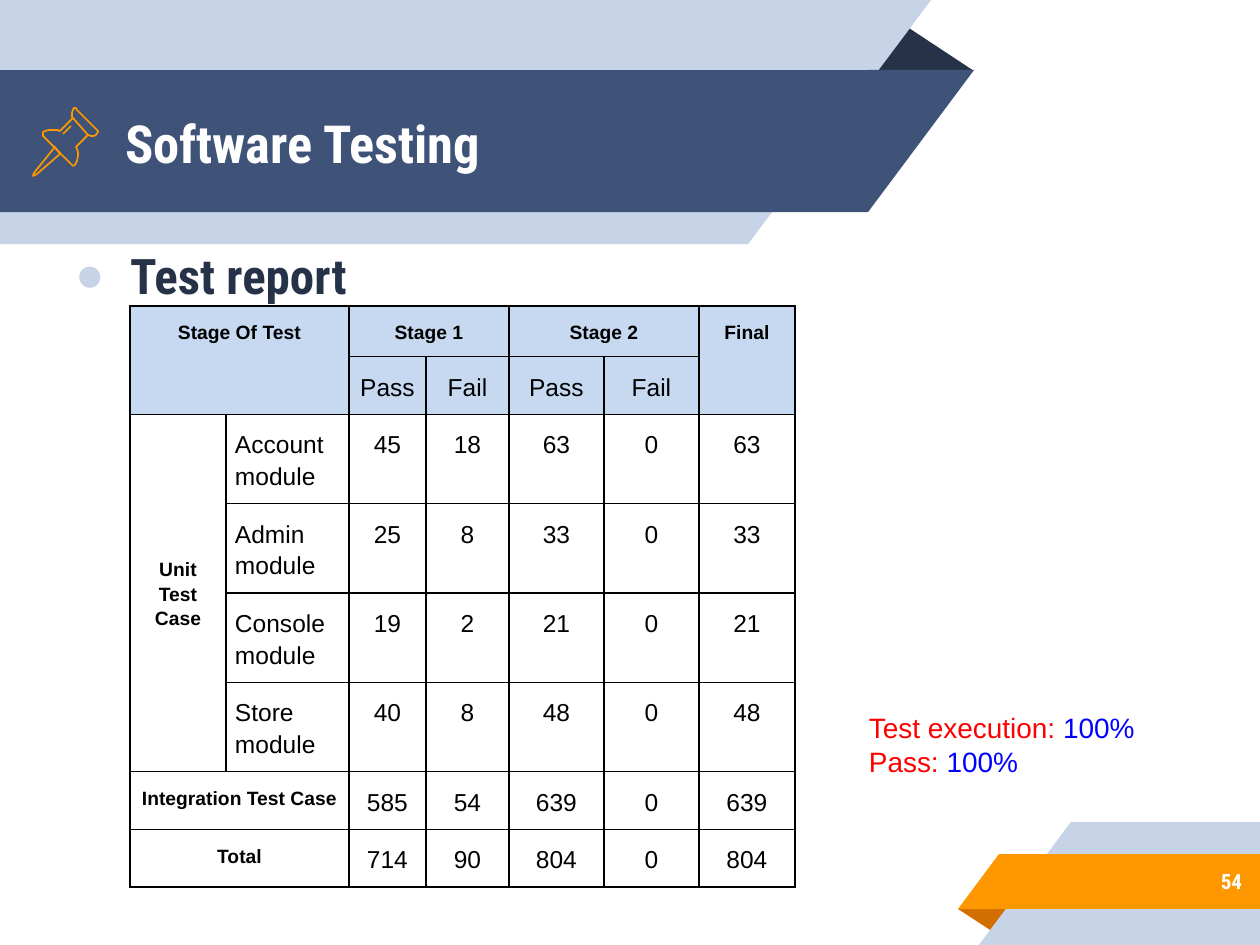
from lxml.etree import SubElement
from pptx import Presentation
from pptx.dml.color import RGBColor
from pptx.enum.shapes import MSO_SHAPE as Shape
from pptx.enum.text import MSO_ANCHOR as Anchor, MSO_AUTO_SIZE as AutoSize, PP_ALIGN as Align
from pptx.oxml.ns import qn
from pptx.util import Emu, Pt

COLORS = {
    "pale": "C7D3E6", "navy": "3F5378", "dark": "263248", "orange": "FF9800",
    "rust": "D26F00", "white": "FFFFFF", "black": "000000", "header": "C6D9F1",
    "red": "FF0000", "blue": "0000FF",
}
HEADING_FONT = "Roboto Condensed"
BODY_FONT = "Arial"

TOP_BANNER = [
    (Shape.ISOSCELES_TRIANGLE, (867, 23, 107, 48), "dark", 0),
    (Shape.RECTANGLE, (0, 0, 748, 244), "pale", 180),
    (Shape.RIGHT_TRIANGLE, (748, 0, 183, 244), "pale", 180),
    (Shape.RECTANGLE, (0, 70, 868, 142), "navy", 180),
    (Shape.RIGHT_TRIANGLE, (868, 70, 106, 142), "navy", 180),
]
PAGE_BANNER = [
    (Shape.ISOSCELES_TRIANGLE, (958, 909, 54, 24), "rust", 180),
    (Shape.RECTANGLE, (1071, 822, 189, 123), "pale", 0),
    (Shape.RIGHT_TRIANGLE, (979, 822, 92, 123), "pale", 0),
    (Shape.RECTANGLE, (999, 854, 261, 55), "orange", 0),
    (Shape.RIGHT_TRIANGLE, (958, 854, 41, 55), "orange", 0),
]
PIN_NEEDLE = [(55, 147), (34, 173), (33, 176), (37, 174), (60, 154)]
PIN_HEAD = [(73, 118), (88, 135), (91, 136), (94, 136), (96, 135), (98, 132), (98, 131),
            (97, 130), (77, 110), (76, 108), (74, 108), (73, 110), (72, 113), (72, 117)]
PIN_COLLAR = [(73, 118), (60, 131), (57, 130), (54, 130), (49, 130), (45, 131), (43, 132),
              (43, 136), (72, 165), (73, 166), (75, 165), (77, 161), (78, 156), (78, 152),
              (77, 149), (76, 147), (88, 135)]
PIN_SHINE = [(63, 134), (71, 126)]

COLUMNS = [96, 123, 77, 83, 95, 95, 96]
ROWS = [35, 40, 64, 64, 64, 64, 40, 40]
REPORT = [
    ["Stage Of Test", "", "Stage 1", "", "Stage 2", "", "Final"],
    ["", "", "Pass", "Fail", "Pass", "Fail", ""],
    ["Unit Test Case", "Account module", "45", "18", "63", "0", "63"],
    ["", "Admin module", "25", "8", "33", "0", "33"],
    ["", "Console module", "19", "2", "21", "0", "21"],
    ["", "Store module", "40", "8", "48", "0", "48"],
    ["Integration Test Case", "", "585", "54", "639", "0", "639"],
    ["Total", "", "714", "90", "804", "0", "804"],
]
MERGES = [((0, 0), (1, 1)), ((0, 2), (0, 3)), ((0, 4), (0, 5)), ((0, 6), (1, 6)),
          ((2, 0), (5, 0)), ((6, 0), (6, 1)), ((7, 0), (7, 1))]


def px(length):
    return Emu(round(length * 914400 / 126))


def color(name):
    return RGBColor.from_string(COLORS[name])


def style(font, name, size, tint, bold=False):
    font.name = name
    font.size = Pt(size)
    font.bold = bold
    font.color.rgb = color(tint)


def set_frame(frame, anchor):
    frame.word_wrap = True
    frame.auto_size = AutoSize.NONE
    frame.vertical_anchor = anchor
    frame.margin_left = frame.margin_right = px(13)
    frame.margin_top = frame.margin_bottom = px(13)


def add_banner(page, parts):
    group = page.shapes.add_group_shape()
    for kind, box, tint, rotation in parts:
        part = group.shapes.add_shape(kind, *map(px, box))
        part.shadow.inherit = False
        part.fill.solid()
        part.fill.fore_color.rgb = color(tint)
        part.line.fill.background()
        part.rotation = rotation
        if kind == Shape.ISOSCELES_TRIANGLE:
            part.adjustments[0] = 0.32
        else:
            part._element.spPr.xfrm.set("flipH", "1")


def add_pin(page):
    group = page.shapes.add_group_shape()
    outlines = [(PIN_NEEDLE, True), (PIN_HEAD, True), (PIN_COLLAR, False), (PIN_SHINE, False)]
    for points, closed in outlines:
        start, *rest = [(px(x), px(y)) for x, y in points]
        builder = group.shapes.build_freeform(*start)
        builder.add_line_segments(rest, close=closed)
        outline = builder.convert_to_shape()
        outline.shadow.inherit = False
        outline.fill.background()
        outline.line.color.rgb = color("orange")
        outline.line.width = Pt(0.96)


def place_text(page, holder, box, text, size, tint, anchor):
    holder.left, holder.top, holder.width, holder.height = map(px, box)
    page.shapes._spTree.append(holder._element)
    frame = holder.text_frame
    frame.text = text
    set_frame(frame, anchor)
    para = frame.paragraphs[0]
    para.alignment = Align.LEFT
    para.space_before = Pt(0)
    style(para.runs[0].font, HEADING_FONT, size, tint, True)
    return para


def add_bullet(para):
    para.space_after = Pt(10)
    props = para._p.get_or_add_pPr()
    props.set("marL", str(px(63)))
    props.set("indent", str(-px(55)))
    tint = SubElement(props, qn("a:buClr"))
    SubElement(tint, qn("a:srgbClr"), val=COLORS["pale"])
    SubElement(props, qn("a:buChar"), char="●")


def add_text_box(page, box, anchor):
    frame = page.shapes.add_textbox(*map(px, box)).text_frame
    set_frame(frame, anchor)
    return frame


def add_page_number(page):
    frame = add_text_box(page, (1050, 852, 205, 58), Anchor.MIDDLE)
    frame.text = "54"
    para = frame.paragraphs[0]
    para.alignment = Align.RIGHT
    style(para.runs[0].font, HEADING_FONT, 12, "white", True)


def add_borders(cell):
    props = cell._tc.get_or_add_tcPr()
    for side in ("lnL", "lnR", "lnT", "lnB"):
        border = SubElement(props, qn(f"a:{side}"), w=str(Pt(1)))
        fill = SubElement(border, qn("a:solidFill"))
        SubElement(fill, qn("a:srgbClr"), val=COLORS["black"])


def fill_cell(cell, text, row, column):
    cell.margin_left = cell.margin_right = px(9)
    cell.margin_top = cell.margin_bottom = px(13)
    add_borders(cell)
    if row < 2:
        cell.fill.solid()
        cell.fill.fore_color.rgb = color("header")
    else:
        cell.fill.background()
    if not text:
        return
    cell.text_frame.text = text
    para = cell.text_frame.paragraphs[0]
    para.alignment = Align.LEFT if column == 1 else Align.CENTER
    para.line_spacing = 1.15
    label = row == 0 or column == 0
    style(para.runs[0].font, BODY_FONT, 11 if label else 14, "black", label)


def add_report(page):
    box = (130, 306, sum(COLUMNS), sum(ROWS))
    table = page.shapes.add_table(len(ROWS), len(COLUMNS), *map(px, box)).table
    table.first_row = table.horz_banding = False
    for column, width in zip(table.columns, COLUMNS):
        column.width = px(width)
    for row, height in zip(table.rows, ROWS):
        row.height = px(height)
    for row, texts in enumerate(REPORT):
        for column, text in enumerate(texts):
            fill_cell(table.cell(row, column), text, row, column)
    for first, last in MERGES:
        table.cell(*first).merge(table.cell(*last))
    table.cell(2, 0).vertical_anchor = Anchor.MIDDLE


def add_summary(page):
    frame = add_text_box(page, (856, 698, 318, 125), Anchor.TOP)
    frame.add_paragraph()
    for para, label in zip(frame.paragraphs, ("Test execution: ", "Pass: ")):
        for text, tint in ((label, "red"), ("100%", "blue")):
            span = para.add_run()
            span.text = text
            style(span.font, BODY_FONT, 16, tint)


def main():
    deck = Presentation()
    deck.slide_width, deck.slide_height = px(1260), px(945)
    page = deck.slides.add_slide(deck.slide_layouts[1])
    title, body = page.placeholders
    add_banner(page, TOP_BANNER)
    add_banner(page, PAGE_BANNER)
    place_text(page, title, (112, 72, 806, 141), "Software Testing", 30, "white", Anchor.MIDDLE)
    add_page_number(page)
    add_pin(page)
    add_bullet(place_text(page, body, (54, 232, 582, 96), "Test report", 28, "dark", Anchor.TOP))
    add_report(page)
    add_summary(page)
    deck.save("out.pptx")


if __name__ == "__main__":
    main()
